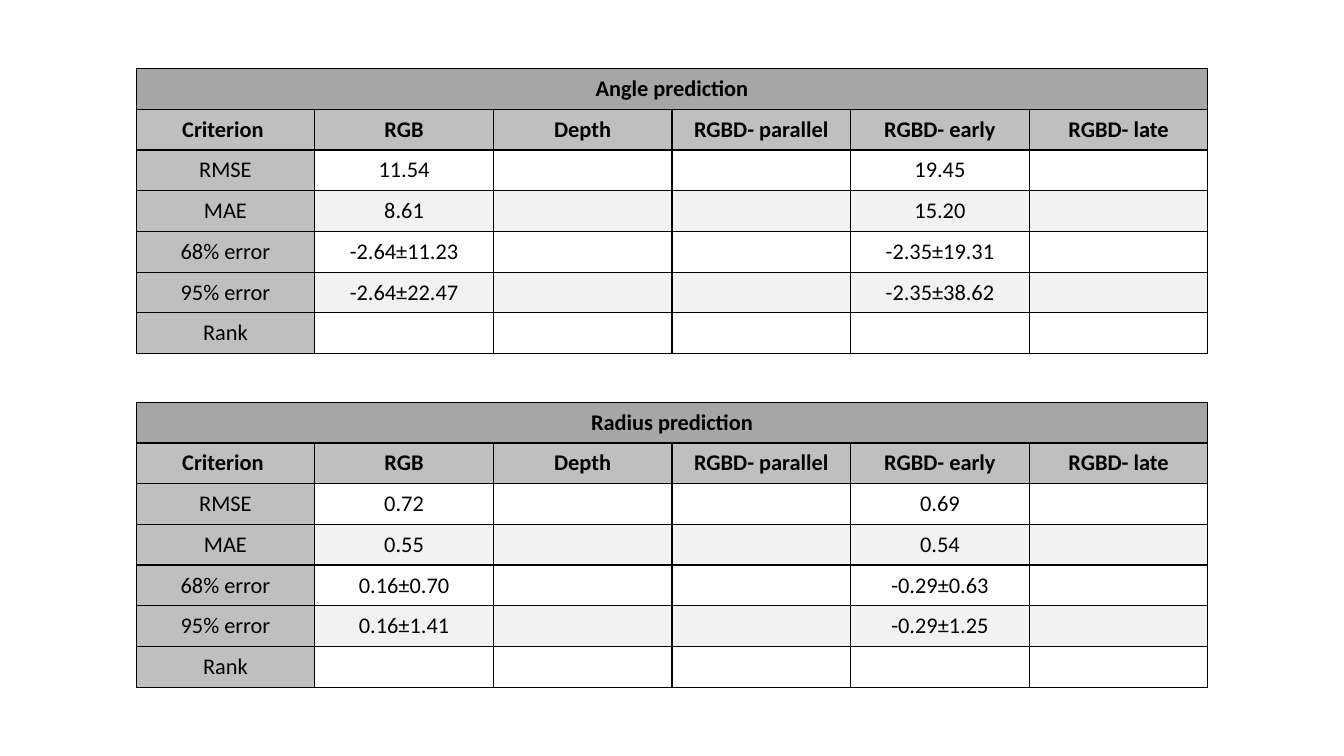
from lxml.etree import SubElement
from pptx import Presentation
from pptx.dml.color import RGBColor
from pptx.enum.text import MSO_ANCHOR as Anchor, PP_ALIGN as Align
from pptx.oxml.ns import qn
from pptx.util import Inches, Pt

HEADINGS = ["Criterion ", "RGB", "Depth", "RGBD- parallel", "RGBD- early", "RGBD- late"]
CRITERIA = ["RMSE", "MAE", "68% error", "95% error", "Rank"]
ANGLE = {
    "RGB": ["11.54", "8.61", "-2.64±11.23", "-2.64±22.47", ""],
    "RGBD- early": ["19.45", "15.20", "-2.35±19.31", "-2.35±38.62", ""],
}
RADIUS = {
    "RGB": ["0.72", "0.55", "0.16±0.70", "0.16±1.41", ""],
    "RGBD- early": ["0.69", "0.54", "-0.29±0.63", "-0.29±1.25", ""],
}


def color(value):
    return RGBColor.from_string(value)


def write_text(cell, text, *, font, size, ink, bold=False):
    cell.vertical_anchor = Anchor.MIDDLE
    paragraph = cell.text_frame.paragraphs[0]
    paragraph.alignment = Align.CENTER
    run = paragraph.add_run()
    run.text = text
    run.font.name = font
    run.font.size = Pt(size)
    run.font.bold = bold
    run.font.color.rgb = color(ink)


class ResultsSlide:
    """Draws bordered result tables in one style on the current slide."""

    font = "Calibri"
    size = 16
    ink = "000000"
    title_fill = "A6A6A6"
    heading_fill = "BFBFBF"
    body_fills = ["FFFFFF", "F2F2F2"]

    def __init__(self, slide):
        self.slide = slide

    def border(self, cell):
        properties = cell._tc.get_or_add_tcPr()
        for side in ("lnL", "lnR", "lnT", "lnB"):
            line = SubElement(properties, qn(f"a:{side}"), w=str(Pt(1)))
            fill = SubElement(line, qn("a:solidFill"))
            SubElement(fill, qn("a:srgbClr"), val=self.ink)

    def cell(self, cell, text, fill, bold=False):
        self.border(cell)
        cell.fill.solid()
        cell.fill.fore_color.rgb = color(fill)
        write_text(cell, text, font=self.font, size=self.size, ink=self.ink, bold=bold)

    def table(self, title, results, top):
        blank = [""] * len(CRITERIA)
        columns = [CRITERIA] + [results.get(name, blank) for name in HEADINGS[1:]]
        rows = [[title] + [""] * (len(HEADINGS) - 1), HEADINGS, *zip(*columns)]
        frame = self.slide.shapes.add_table(
            len(rows), len(HEADINGS), Inches(1.35), Inches(top), Inches(10.63), Inches(2.83)
        )
        table = frame.table
        for row, texts in enumerate(rows):
            for column, text in enumerate(texts):
                if row == 0:
                    fill = self.title_fill
                elif row == 1 or column == 0:
                    fill = self.heading_fill
                else:
                    fill = self.body_fills[row % 2]
                self.cell(table.cell(row, column), text, fill, bold=row < 2)
        table.cell(0, 0).merge(table.cell(0, len(HEADINGS) - 1))


def main():
    presentation = Presentation()
    presentation.slide_width = Inches(13.33)
    presentation.slide_height = Inches(7.5)
    results = ResultsSlide(presentation.slides.add_slide(presentation.slide_layouts[6]))
    results.table("Angle prediction", ANGLE, top=0.68)
    results.table("Radius prediction", RADIUS, top=3.99)
    presentation.save("out.pptx")


if __name__ == "__main__":
    main()
